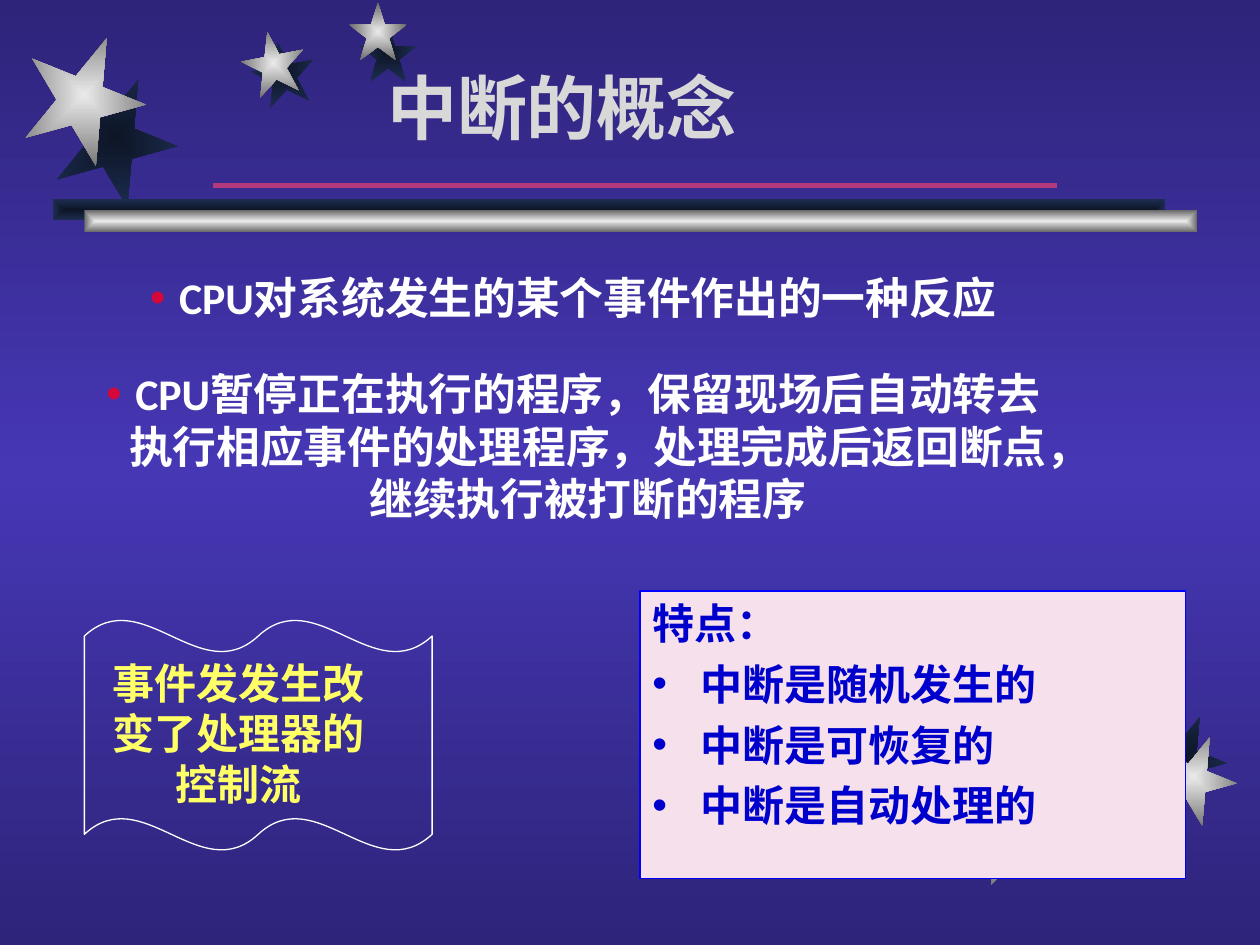
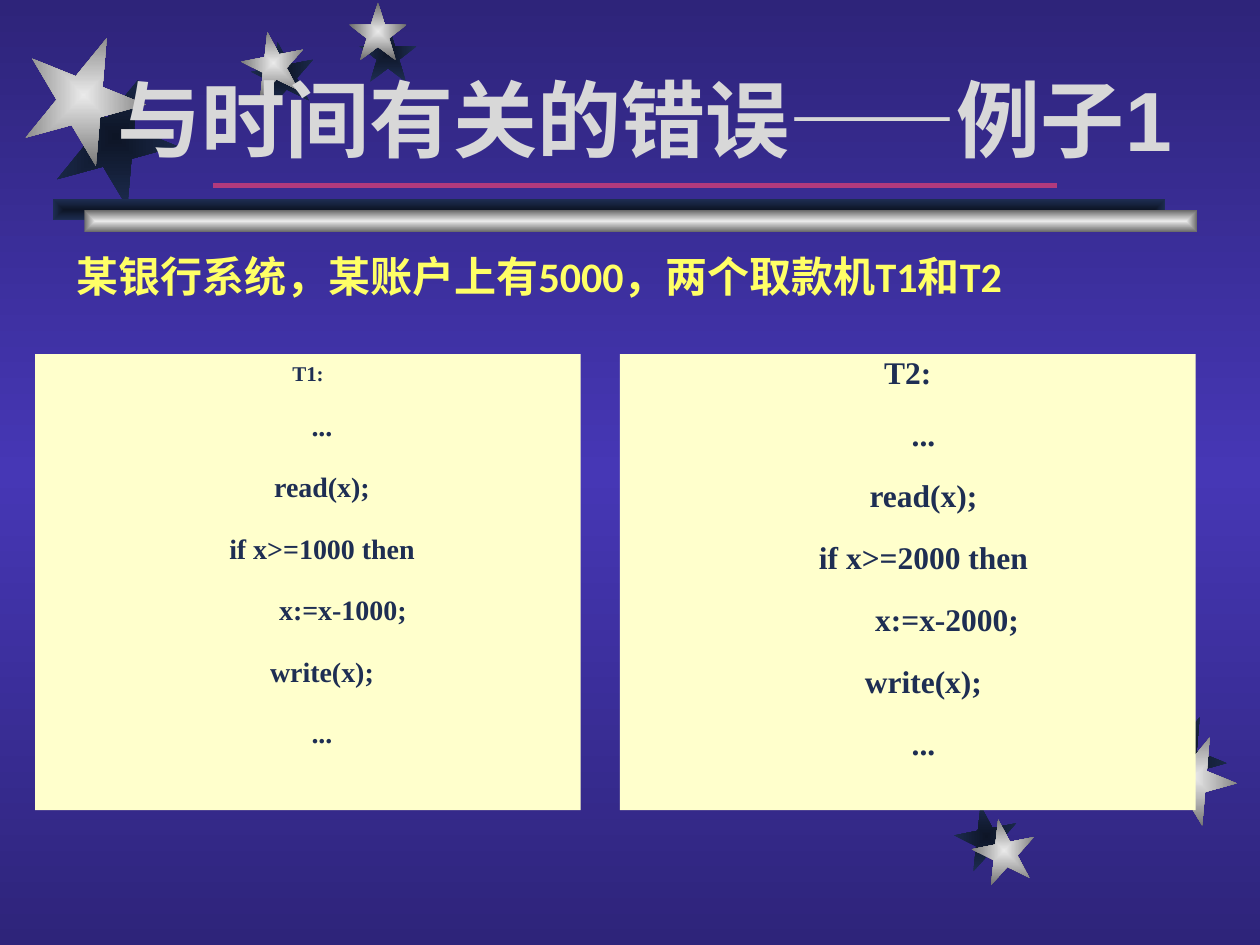
from lxml import etree
from pptx import Presentation
from pptx.dml.color import RGBColor
from pptx.enum.shapes import MSO_CONNECTOR, MSO_SHAPE
from pptx.enum.text import MSO_ANCHOR, MSO_AUTO_SIZE, PP_ALIGN
from pptx.oxml import parse_xml
from pptx.oxml.ns import nsdecls, qn
from pptx.util import Inches, Pt

STAR, RECT, WAVE = MSO_SHAPE.STAR_5_POINT, MSO_SHAPE.RECTANGLE, MSO_SHAPE.DOUBLE_WAVE
STRAIGHT = MSO_CONNECTOR.STRAIGHT
TOP, BOTTOM = MSO_ANCHOR.TOP, MSO_ANCHOR.BOTTOM
LEFT, CENTER = PP_ALIGN.LEFT, PP_ALIGN.CENTER
FIXED = MSO_AUTO_SIZE.NONE

NIGHT = RGBColor(0x2E, 0x24, 0x7A)
VIOLET = RGBColor(0x46, 0x37, 0xB5)
INK = RGBColor(0x0D, 0x15, 0x26)
NAVY = RGBColor(0x1E, 0x2E, 0x53)
SILVER = RGBColor(0xEA, 0xEA, 0xEA)
GRAY = RGBColor(0x6B, 0x6B, 0x6B)
PALE = RGBColor(0xD8, 0xD8, 0xD8)
ROSE = RGBColor(0xB2, 0x3A, 0x7D)
RED = RGBColor(0xD6, 0x08, 0x39)
PINK = RGBColor(0xF5, 0xE0, 0xEC)
BLUE = RGBColor(0x00, 0x00, 0xFF)
ROYAL = RGBColor(0x00, 0x00, 0xCC)
YELLOW = RGBColor(0xFF, 0xFF, 0x66)
CREAM = RGBColor(0xFF, 0xFF, 0xCC)
WHITE = RGBColor(0xFF, 0xFF, 0xFF)

SHADE, SHINE = (INK, NAVY), (SILVER, GRAY)
LINEAR = '<a:lin ang="5400000" scaled="0"/>'
RADIAL = ('<a:path path="rect"><a:fillToRect l="50000" t="50000" '
          'r="50000" b="50000"/></a:path>')

STARS = [
    (0.43, 0.6, 0.97, 22, SHADE),
    (2, 0.33, 0.5, 349, SHADE),
    (2.85, 0.19, 0.46, 0, SHADE),
    (1.92, 0.25, 0.5, 349, SHINE),
    (2.77, 0.02, 0.46, 0, SHINE),
    (7.58, 6.39, 0.5, 349, SHADE),
    (9.06, 5.67, 0.67, 22, SHADE),
    (7.72, 6.5, 0.5, 349, SHINE),
    (9.14, 5.83, 0.67, 22, SHINE),
    (0.18, 0.27, 0.97, 22, SHINE),
]
BARS = [(0.42, 1.58, SHADE), (0.67, 1.67, SHINE)]


class Deck:
    def __init__(self):
        self.prs = Presentation()
        self.prs.slide_width = Inches(10)
        self.prs.slide_height = Inches(7.5)

    def start(self, layout):
        self.slide = self.prs.slides.add_slide(self.prs.slide_layouts[layout])
        self.shapes = self.slide.shapes
        self.blend(self.slide.background.fill, self.slide.element,
                   (NIGHT, VIOLET, NIGHT), LINEAR)
        for x, y, size, turn, tones in STARS:
            star = self.shape(STAR, (x, y, size, size))
            star.rotation = turn
            self.blend(star.fill, star.element, tones, RADIAL)
        for x, y, tones in BARS:
            bar = self.shape(RECT, (x, y, 8.83, 0.17))
            self.blend(bar.fill, bar.element, tones, RADIAL)
        self.rule(1.69, 8.39, 1.47)

    def blend(self, fill, root, tones, way):
        fill.gradient()
        old = next(root.iter(qn("a:gradFill")))
        step = 100000 // (len(tones) - 1)
        stops = "".join(f'<a:gs pos="{i * step}"><a:srgbClr val="{tone}"/></a:gs>'
                        for i, tone in enumerate(tones))
        new = parse_xml(f'<a:gradFill {nsdecls("a")} rotWithShape="1">'
                        f'<a:gsLst>{stops}</a:gsLst>{way}</a:gradFill>')
        old.getparent().replace(old, new)

    def shape(self, kind, area, fill=None, line=None):
        item = self.shapes.add_shape(kind, *map(Inches, area))
        item.shadow.inherit = False
        if fill is None:
            item.fill.background()
        else:
            item.fill.solid()
            item.fill.fore_color.rgb = fill
        if line is None:
            item.line.fill.background()
        else:
            item.line.color.rgb = line
            item.line.width = Pt(0.75)
        return item

    def rule(self, left, right, y):
        line = self.shapes.add_connector(
            STRAIGHT, Inches(left), Inches(y), Inches(right), Inches(y))
        line.line.color.rgb = ROSE
        line.line.width = Pt(3)
        etree.SubElement(line.element.spPr, qn("a:effectLst"))

    def place(self, item, area):
        item.left, item.top, item.width, item.height = map(Inches, area)
        item.element.getparent().append(item.element)
        item.text_frame.auto_size = FIXED

    def put(self, frame, lines, size, face, color, align=LEFT,
            before=0, after=0, space=None, anchor=TOP):
        frame.word_wrap = True
        frame.vertical_anchor = anchor
        frame.text = "\n".join(lines)
        for i, par in enumerate(frame.paragraphs):
            par.alignment = align
            par.space_before = Pt(before if i else 0)
            par.space_after = Pt(after)
            if space:
                par.line_spacing = space
            self.font(par, size, face, color)
        return frame.paragraphs

    def font(self, par, size, face, color):
        font = par.font
        font.size, font.name, font.bold = Pt(size), face, True
        font.color.rgb = color

    def bullet(self, par, color, hang):
        props = par._p.get_or_add_pPr()
        props.set("marL", str(Inches(hang)))
        props.set("indent", str(-Inches(hang)))
        last = props.find(qn("a:defRPr"))
        for mark in (f'<a:buClr {nsdecls("a")}><a:srgbClr val="{color}"/></a:buClr>',
                     f'<a:buFont {nsdecls("a")} typeface="Arial"/>',
                     f'<a:buChar {nsdecls("a")} char="•"/>'):
            last.addprevious(parse_xml(mark))

    def title(self, text, area, size):
        item = self.shapes.title
        self.place(item, area)
        self.put(item.text_frame, [text], size, "Arial", PALE, CENTER, anchor=BOTTOM)

    def body(self, lines, area, inset):
        item = self.slide.placeholders[1]
        self.place(item, area)
        item.text_frame.margin_top = Inches(inset)
        for par in self.put(item.text_frame, lines, 25, "Calibri", WHITE,
                            CENTER, 6.2, 18.7):
            self.bullet(par, RED, 0.23)

    def text(self, text, area, face, align=LEFT):
        box = self.shapes.add_textbox(*map(Inches, area))
        self.put(box.text_frame, [text], 24, face, YELLOW, align)

    def traits(self, lines, area):
        box = self.shape(RECT, area, PINK, BLUE)
        pars = self.put(box.text_frame, lines, 24, "Noto Sans CJK SC", ROYAL, before=6)
        for par in pars[1:]:
            self.bullet(par, ROYAL, 0.38)

    def code(self, name, cash, area, size, space=None):
        lines = [f"{name}:", "    ...", "    read(x);", f"    if x>={cash} then",
                 f"          x:=x-{cash};", "    write(x);", "    ..."]
        box = self.shape(RECT, area, CREAM)
        return self.put(box.text_frame, lines, size, "Times New Roman", NAVY,
                        CENTER, size / 4, size * 0.75, space)


def main():
    deck = Deck()

    deck.start(1)
    deck.title("中断的概念", (0.5, 0.35, 7.92, 0.88), 40)
    deck.body(["CPU对系统发生的某个事件作出的一种反应",
               "CPU暂停正在执行的程序，保留现场后自动转去执行相应事件的处理程序，"
               "处理完成后返回断点，继续执行被打断的程序"],
              (0.59, 0.84, 7.92, 5.3), 1.31)
    deck.traits(["特点：", "中断是随机发生的", "中断是可恢复的", "中断是自动处理的"],
                (5.08, 4.69, 4.33, 2.28))
    wave = deck.shape(WAVE, (0.67, 4.92, 2.76, 1.83), line=WHITE)
    wave.adjustments[0] = 0.07
    deck.text("事件发发生改变了处理器的控制流", (0.75, 5.17, 2.28, 1.3), "Arial", CENTER)

    deck.start(5)
    deck.code("T2", 2000, (4.92, 2.81, 4.57, 3.62), 18, 0.8)
    head = deck.code("T1", 1000, (0.28, 2.81, 4.33, 3.62), 16)[0]
    head.font.size = Pt(12)
    head.space_after = Pt(9)
    deck.title("与时间有关的错误——例子1", (0.5, 0.35, 9.23, 1.04), 48)
    deck.text("某银行系统，某账户上有5000，两个取款机T1和T2",
              (0.51, 1.94, 8.23, 0.5), "Calibri")

    deck.prs.save("out.pptx")


if __name__ == "__main__":
    main()
